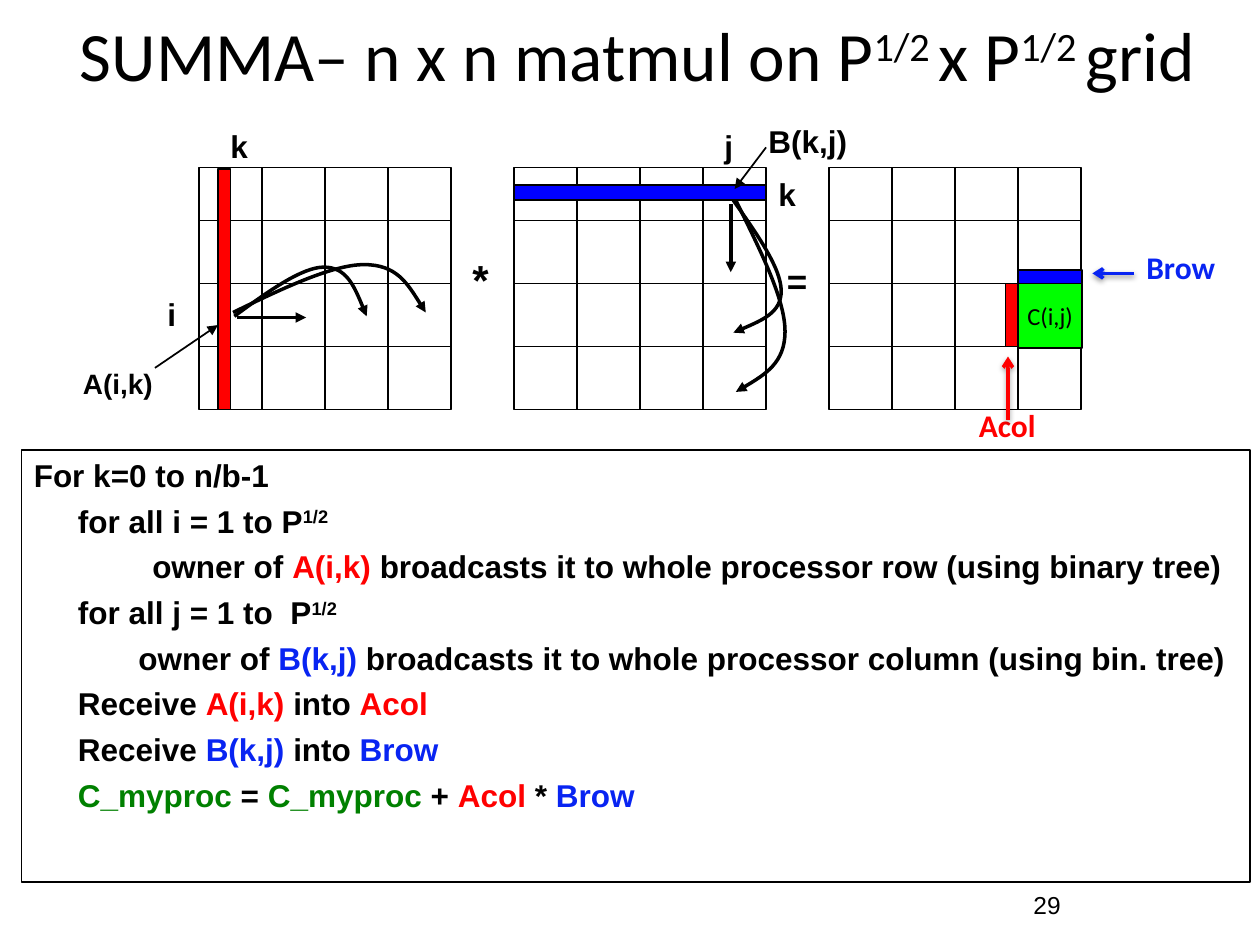
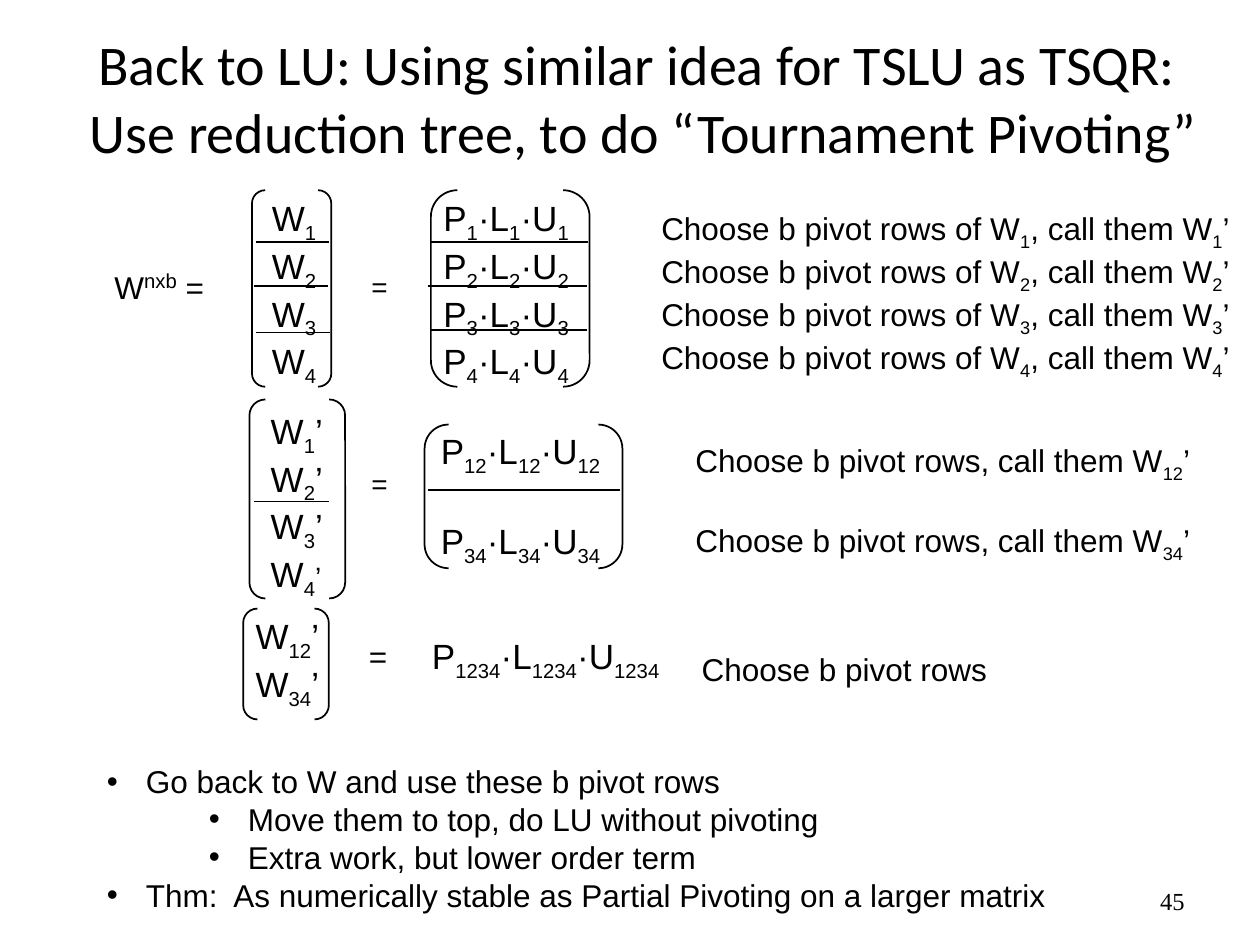
from lxml import etree
from pptx import Presentation
from pptx import util as u
from pptx.dml.color import RGBColor
from pptx.enum import shapes, text
from pptx.oxml.ns import qn

BLACK, RED, GREEN = "000000", "FF0000", "008000"
BLUE, BAND_BLUE, LIME = "0824F2", "0000FF", "00FF00"
SUB, SUPER = "-25000", "30000"
MARKS = {
    "_": {"base": SUB},
    "^": {"base": SUPER},
    "+": {"base": SUPER, "size": 20},
    "<": {"size": 16},
    "!": {"color": RED},
    "@": {"color": BLUE},
    "~": {"color": GREEN},
}
ALIGN = {"l": text.PP_ALIGN.LEFT, "c": text.PP_ALIGN.CENTER, "r": text.PP_ALIGN.RIGHT}

SUMMA = {
    "title": ("SUMMA– n x n matmul on P|^1/2 |x P|^1/2 |grid ", (0.41, 0.2, 9.42, 0.46), 39.6),
    "number": ("29", (7.27, 6.93, 2.08, 0.5), "Arial", "c"),
}
GRID_LEFTS = (1.58, 4.08, 6.58)
GRID_TOP, GRID_BOTTOM, GRID_WIDTH, CELL = 1.33, 3.25, 2, 0.5
GRID_ROWS = (1.75, 2.25, 2.75)
BLOCKS = [
    ((1.73, 1.34, 0.1, 1.91), RED),
    ((4.08, 1.47, 2, 0.12), BAND_BLUE),
    ((8.08, 2.25, 0.51, 0.51), LIME),
    ((8.08, 2.14, 0.51, 0.11), BAND_BLUE),
    ((7.98, 2.25, 0.1, 0.5), RED),
]
MATRIX_LABELS = [
    ("*", (3.65, 1.96, 0.33, 0.5), 24),
    (" =", (6.07, 2.01, 0.44, 0.43), 20),
    ("i", (1.23, 2.29, 0.27, 0.4), 18),
    ("j", (5.65, 0.96, 0.27, 0.4), 18),
    ("A(i,k)", (0.56, 2.86, 0.76, 0.37), 16),
    ("k", (1.73, 0.96, 0.34, 0.4), 18),
    ("k", (6.08, 1.34, 0.34, 0.4), 18),
    ("B(k,j)", (6, 0.92, 0.83, 0.4), 18),
]
RECEIVED = [
    ("Brow", (9, 1.92, 0.76, 0.4), BLUE, (9, 2.17, 8.67, 2.17)),
    ("Acol", (7.67, 3.17, 0.66, 0.4), RED, (8, 3.33, 8, 2.83)),
]
POINTERS = [
    ((1.23, 2.92, 1.73, 2.58), 1),
    ((6.08, 1.17, 5.83, 1.5), 1),
    ((1.88, 2.52, 2.43, 2.52), 2),
    ((5.8, 1.62, 5.8, 2.16), 2),
]
BROADCASTS = [
    [(1.86, 2.51), (2.13, 2.31), (2.4, 2.12), (2.57, 2.12), (2.75, 2.12), (2.83, 2.31), (2.91, 2.51)],
    [(1.85, 2.48), (2.24, 2.29), (2.64, 2.1), (2.89, 2.1), (3.15, 2.1), (3.26, 2.29), (3.38, 2.48)],
    [(5.82, 1.59), (6.01, 1.86), (6.2, 2.13), (6.2, 2.31), (6.2, 2.48), (6.01, 2.56), (5.82, 2.64)],
    [(5.84, 1.59), (6.03, 1.98), (6.23, 2.37), (6.23, 2.63), (6.23, 2.88), (6.03, 3), (5.84, 3.11)],
]
ALGORITHM = [
    (0, "For k=0 to n/b-1"),
    (0.35, "for all i = 1 to P|^1/2"),
    (0.94, "owner of |!A(i,k)| broadcasts it to whole processor row (using binary tree)"),
    (0.35, "for all j = 1 to  P|^1/2"),
    (0.83, "owner of |@B(k,j)| broadcasts it to whole processor column (using bin. tree)"),
    (0.35, "Receive |!A(i,k)| into |!Acol"),
    (0.35, "Receive |@B(k,j)| into |@Brow"),
    (0.35, "~C_myproc| = |~C_myproc| + |!Acol| * |@Brow"),
]

TSLU = {
    "title": ("Back to LU: Using similar idea for TSLU as TSQR:|\n| Use reduction tree, to do “Tournament Pivoting”",
              (0.34, 0.33, 9.44, 0.88), 32),
    "number": ("45", (7.17, 6.95, 2.33, 0.4), "Times New Roman", "r"),
}
FACTOR = "P|_{0}|·L|_{0}|·U|_{0}"
PIVOTS = "Choose b pivot rows"
QUARTERS, HALVES = range(1, 5), (12, 34)
REDUCTION_TEXT = [
    (["W|+nxb| ="], (0.81, 2.05, 0.96, 0.4), 18, 0),
    ([f"W|_{i}" for i in QUARTERS], (2.06, 1.51, 0.57, 1.45), 20, 0),
    (["="], (2.85, 2.09, 0.33, 0.37), 16, 0),
    ([FACTOR.format(i) for i in QUARTERS], (3.42, 1.51, 1.4, 1.45), 20, 0),
    ([f"{PIVOTS} of W|_{i}|, call them W|_{i}|’" for i in QUARTERS], (5.15, 1.61, 4.77, 1.31), 18, 0),
    ([f"W|_{i}|" + ("<’" if i == 4 else "’") for i in QUARTERS], (2.05, 3.2, 0.62, 1.45), 20, 0),
    (["="], (2.85, 3.65, 0.33, 0.37), 16, 0),
    ([FACTOR.format(i) for i in HALVES], (3.4, 3.36, 1.54, 1.11), 20, 24),
    ([f"{PIVOTS}, call them W|_{i}|’" for i in HALVES], (5.42, 3.45, 4.18, 1.01), 18, 21),
    ([f"W|_{i}|’" for i in HALVES], (1.93, 4.83, 0.73, 0.77), 20, 0),
    (["="], (2.83, 5.01, 0.33, 0.4), 18, 0),
    ([FACTOR.format(1234)], (3.33, 4.99, 2.1, 0.43), 20, 0),
    ([PIVOTS], (5.47, 5.11, 2.49, 0.4), 18, 0),
]
BRACKETS = [
    (2, 1.51, 0.63, 1.56), (3.42, 1.51, 1.26, 1.56), (1.98, 3.17, 0.76, 1.58),
    (3.37, 3.37, 1.57, 1.14), (1.93, 4.83, 0.68, 0.88),
]
DIVIDERS = [
    (2.03, 2.61, 1.92), (2.02, 2.6, 2.27), (2.03, 2.62, 2.64),
    (3.42, 4.67, 1.92), (3.4, 4.66, 2.27), (3.41, 4.66, 2.62),
    (2.02, 2.61, 3.98), (3.4, 4.92, 3.89),
]
BULLETS = [
    (0.31, "Go back to W and use these b pivot rows"),
    (1.12, "Move them to top, do LU without pivoting"),
    (1.12, "Extra work, but lower order term"),
    (0.31, "Thm:  As numerically stable as Partial Pivoting on a larger matrix"),
]


def rgb(value):
    return RGBColor.from_string(value)


def inches(values):
    return [u.Inches(v) for v in values]


def add_runs(p, line, size, font, color, bold):
    for part in line.split("|"):
        if part == "\n":
            p.add_line_break()
            continue
        mark = MARKS.get(part[:1], {})
        r = p.add_run()
        r.text = part[1:] if mark else part
        values = {"name": font, "size": u.Pt(mark.get("size", size)), "bold": bold}
        for key, value in values.items():
            setattr(r.font, key, value)
        r.font.color.rgb = rgb(mark.get("color", color))
        if "base" in mark:
            r.font._element.set("baseline", mark["base"])


def write(sp, lines, size, font="Arial", color=BLACK, bold=False, align="l",
          middle=False, wrap=False, gap=0, bullet=False):
    tf = sp.text_frame
    tf.word_wrap = wrap
    tf.vertical_anchor = text.MSO_ANCHOR.MIDDLE if middle else text.MSO_ANCHOR.TOP
    for n, line in enumerate(lines):
        indent, words = line if isinstance(line, tuple) else (0, line)
        p = tf.paragraphs[0] if n == 0 else tf.add_paragraph()
        p.alignment = ALIGN[align]
        if n and gap:
            p.space_before = u.Pt(gap)
        pPr = p._p.get_or_add_pPr()
        if indent:
            pPr.set("marL", str(u.Inches(indent)))
        if bullet:
            pPr.set("indent", str(-u.Inches(0.31)))
            etree.SubElement(pPr, qn("a:buFont")).set("typeface", "Arial")
            etree.SubElement(pPr, qn("a:buChar")).set("char", "•")
        add_runs(p, words, size, font, color, bold)


def label(s, lines, box, size, **style):
    write(s.shapes.add_textbox(*inches(box)), lines, size, **style)


def outline(sp, fill=None, width=1):
    sp.shadow.inherit = False
    if fill:
        sp.fill.solid()
        sp.fill.fore_color.rgb = rgb(fill)
    else:
        sp.fill.background()
    sp.line.color.rgb = rgb(BLACK)
    sp.line.width = u.Pt(width)
    return sp


def block(s, box, fill=None, kind=shapes.MSO_SHAPE.RECTANGLE):
    return outline(s.shapes.add_shape(kind, *inches(box)), fill)


def arrowhead(sp, kind):
    etree.SubElement(sp.line._get_or_add_ln(), qn("a:tailEnd")).set("type", kind)


def line(s, ends, width=1, color=BLACK, head=None, shadow=False):
    c = s.shapes.add_connector(shapes.MSO_CONNECTOR.STRAIGHT, *inches(ends))
    c.line.color.rgb = rgb(color)
    c.line.width = u.Pt(width)
    if head:
        arrowhead(c, head)
    effects = etree.SubElement(c._element.spPr, qn("a:effectLst"))
    if shadow:
        outer = etree.SubElement(effects, qn("a:outerShdw"), blurRad=str(u.Pt(3.1)),
                                 dist=str(u.Pt(1.6)), dir="5400000", rotWithShape="0")
        shade = etree.SubElement(outer, qn("a:srgbClr"), val=BLACK)
        etree.SubElement(shade, qn("a:alpha"), val="38000")


def curve(s, points):
    builder = s.shapes.build_freeform(*inches(points[0]))
    builder.add_line_segments([inches(pt) for pt in points[1:]], close=False)
    sp = outline(builder.convert_to_shape(), width=2)
    arrowhead(sp, "triangle")
    segments = list(sp._element.iter(qn("a:lnTo")))
    outline_path = segments[0].getparent()
    for k in range(0, len(segments), 3):
        bezier = etree.SubElement(outline_path, qn("a:cubicBezTo"))
        for segment in segments[k:k + 3]:
            bezier.append(segment[0])
            outline_path.remove(segment)


def new_slide(prs, content):
    s = prs.slides.add_slide(prs.slide_layouts[6])
    words, box, size = content["title"]
    label(s, [words], box, size, font="Calibri", align="c", middle=True, wrap=True)
    number, box, font, align = content["number"]
    label(s, [number], box, 14, font=font, align=align, middle=True, wrap=True)
    return s


def build_summa(prs):
    s = new_slide(prs, SUMMA)
    for left in GRID_LEFTS:
        block(s, (left, GRID_TOP, GRID_WIDTH, GRID_BOTTOM - GRID_TOP))
        for y in GRID_ROWS:
            line(s, (left, y, left + GRID_WIDTH, y))
        for col in (1, 2, 3):
            x = left + col * CELL
            line(s, (x, GRID_TOP, x, GRID_BOTTOM))
    for words, box, size in MATRIX_LABELS:
        label(s, [words], box, size, bold=True)
    for box, fill in BLOCKS:
        sp = block(s, box, fill)
        if fill == LIME:
            write(sp, ["C(i,j)"], 14, font="Calibri", align="c", middle=True)
    for ends, width in POINTERS:
        line(s, ends, width, head="triangle")
    for points in BROADCASTS:
        curve(s, points)
    write(block(s, (0.17, 3.57, 9.75, 3.43)), ALGORITHM, 18, bold=True, wrap=True, gap=4.5)
    for words, box, color, ends in RECEIVED:
        label(s, [words], box, 18, font="Calibri", color=color, bold=True)
        line(s, ends, 2, color, "arrow", shadow=True)


def build_tslu(prs):
    s = new_slide(prs, TSLU)
    for lines, box, size, gap in REDUCTION_TEXT:
        label(s, lines, box, size, gap=gap)
    for box in BRACKETS:
        block(s, box, kind=shapes.MSO_SHAPE.DOUBLE_BRACKET).adjustments[0] = 0.167
    for x1, x2, y in DIVIDERS:
        line(s, (x1, y, x2, y))
    label(s, BULLETS, (0.75, 6, 8.17, 1.62), 18, wrap=True, bullet=True)


def main():
    prs = Presentation()
    prs.slide_width, prs.slide_height = inches((10, 7.5))
    build_summa(prs)
    build_tslu(prs)
    prs.save("out.pptx")


if __name__ == "__main__":
    main()
